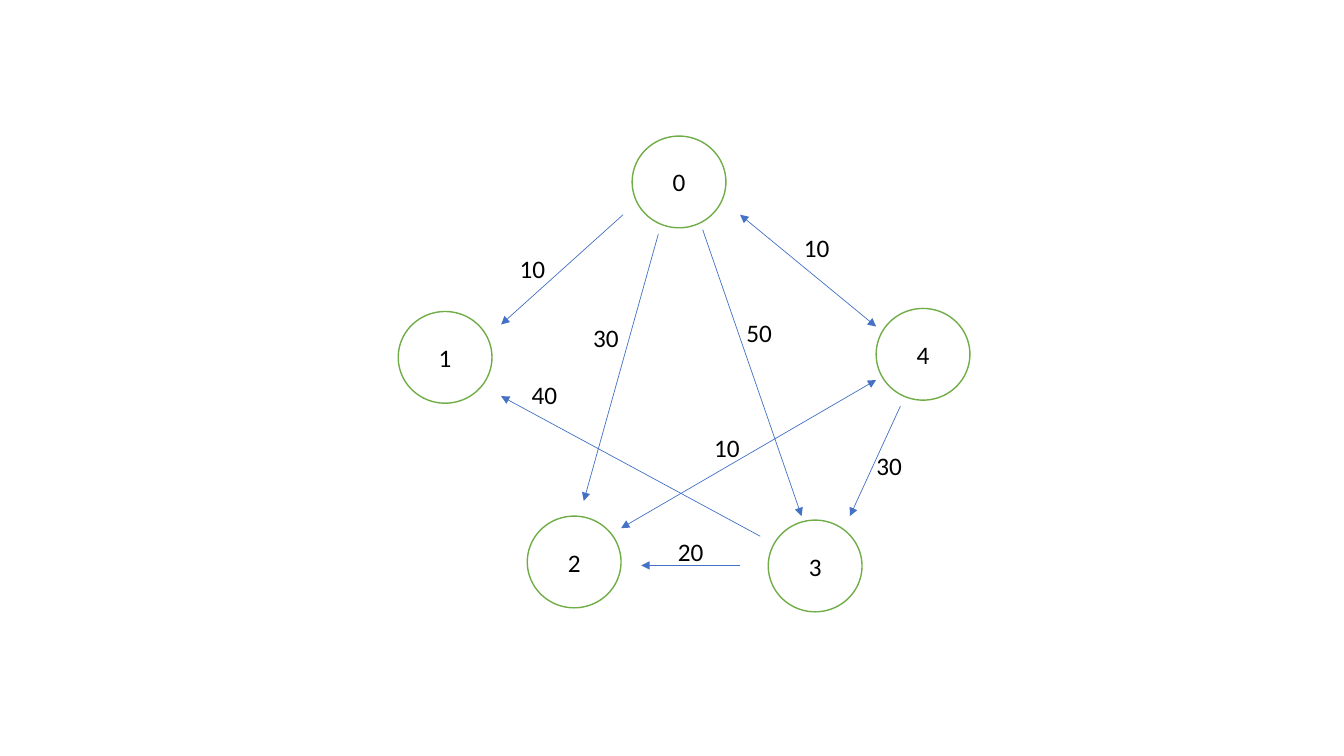
from typing import NamedTuple

from pptx import Presentation
from pptx.dml.color import RGBColor
from pptx.enum.shapes import MSO_CONNECTOR as Link, MSO_SHAPE as Form
from pptx.enum.text import MSO_ANCHOR as Anchor, MSO_AUTO_SIZE as Fit, PP_ALIGN as Align
from pptx.oxml.ns import qn
from pptx.text.text import TextFrame
from pptx.util import Inches, Pt

WHITE, BLACK, GREEN, BLUE = "FFFFFF", "000000", "70AD47", "4472C4"
NODE_W, NODE_H = 0.93, 0.91
TAG_W, TAG_H = 0.46, 0.4


class Node(NamedTuple):
    name: str
    left: float
    top: float


class Edge(NamedTuple):
    start: tuple[float, float]
    end: tuple[float, float]
    cost: str
    tag: tuple[float, float]  # left and top of the cost label
    both: bool = False


NODES = [
    Node("0", 6.27, 1.35),
    Node("1", 3.95, 3.09),
    Node("2", 5.23, 5.12),
    Node("3", 7.62, 5.16),
    Node("4", 8.69, 3.06),
]

EDGES = [
    Edge((6.18, 2.13), (4.97, 3.22), "10", (5.05, 2.46)),
    Edge((6.53, 2.32), (5.79, 4.97), "30", (5.78, 3.15)),
    Edge((6.97, 2.28), (7.95, 5.12), "50", (7.3, 3.1)),
    Edge((7.34, 2.13), (8.69, 3.24), "10", (7.87, 2.26), True),
    Edge((7.54, 5.32), (4.97, 3.93), "40", (5.17, 3.71)),
    Edge((7.34, 5.61), (6.36, 5.61), "20", (6.62, 5.27)),
    Edge((8.93, 4.03), (8.43, 5.12), "30", (8.59, 4.42)),
    Edge((6.16, 5.24), (8.69, 3.77), "10", (6.98, 4.24), True),
]


def color(code: str) -> RGBColor:
    return RGBColor.from_string(code)


def write(frame: TextFrame, text: str) -> None:
    frame.text = text
    para = frame.paragraphs[0]
    para.alignment = Align.CENTER
    font = para.runs[0].font
    font.name, font.size = "Calibri", Pt(18)
    font.color.rgb = color(BLACK)


def draw_node(node: Node) -> None:
    disc = slide.shapes.add_shape(
        Form.OVAL, Inches(node.left), Inches(node.top), Inches(NODE_W), Inches(NODE_H))
    disc.shadow.inherit = False
    disc.fill.solid()
    disc.fill.fore_color.rgb = color(WHITE)
    disc.line.color.rgb = color(GREEN)
    disc.line.width = Pt(1)
    disc.text_frame.vertical_anchor = Anchor.MIDDLE
    write(disc.text_frame, node.name)


def draw_edge(edge: Edge) -> None:
    ends = [Inches(pos) for pos in edge.start + edge.end]
    arrow = slide.shapes.add_connector(Link.STRAIGHT, *ends)
    arrow.line.color.rgb = color(BLUE)
    arrow.line.width = Pt(0.5)
    # Arrowheads, and no shadow
    props = arrow._element.spPr
    line = arrow.line._get_or_add_ln()
    for end in ("a:headEnd", "a:tailEnd") if edge.both else ("a:tailEnd",):
        line.append(line.makeelement(qn(end), {"type": "triangle"}))
    props.append(props.makeelement(qn("a:effectLst"), {}))


def draw_tag(edge: Edge) -> None:
    left, top = edge.tag
    box = slide.shapes.add_textbox(
        Inches(left), Inches(top), Inches(TAG_W), Inches(TAG_H))
    frame = box.text_frame
    frame.word_wrap = False
    frame.auto_size = Fit.SHAPE_TO_FIT_TEXT
    write(frame, edge.cost)


deck = Presentation()
deck.slide_width, deck.slide_height = Inches(13.33), Inches(7.5)
slide = deck.slides.add_slide(deck.slide_layouts[6])

# Graph: nodes, then arrows with their costs
for node in NODES:
    draw_node(node)
for edge in EDGES:
    draw_edge(edge)
for edge in EDGES:
    draw_tag(edge)

deck.save("out.pptx")
